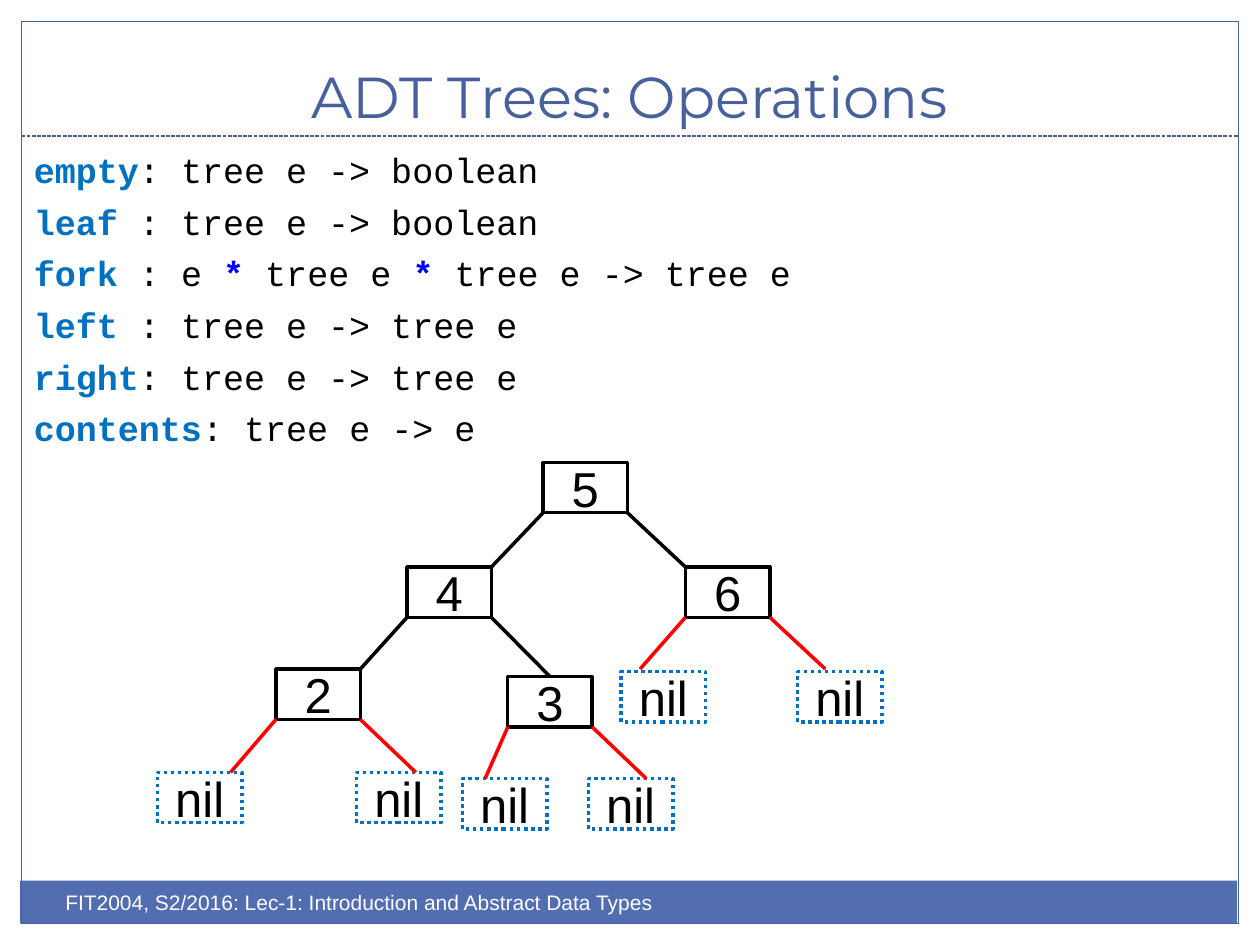
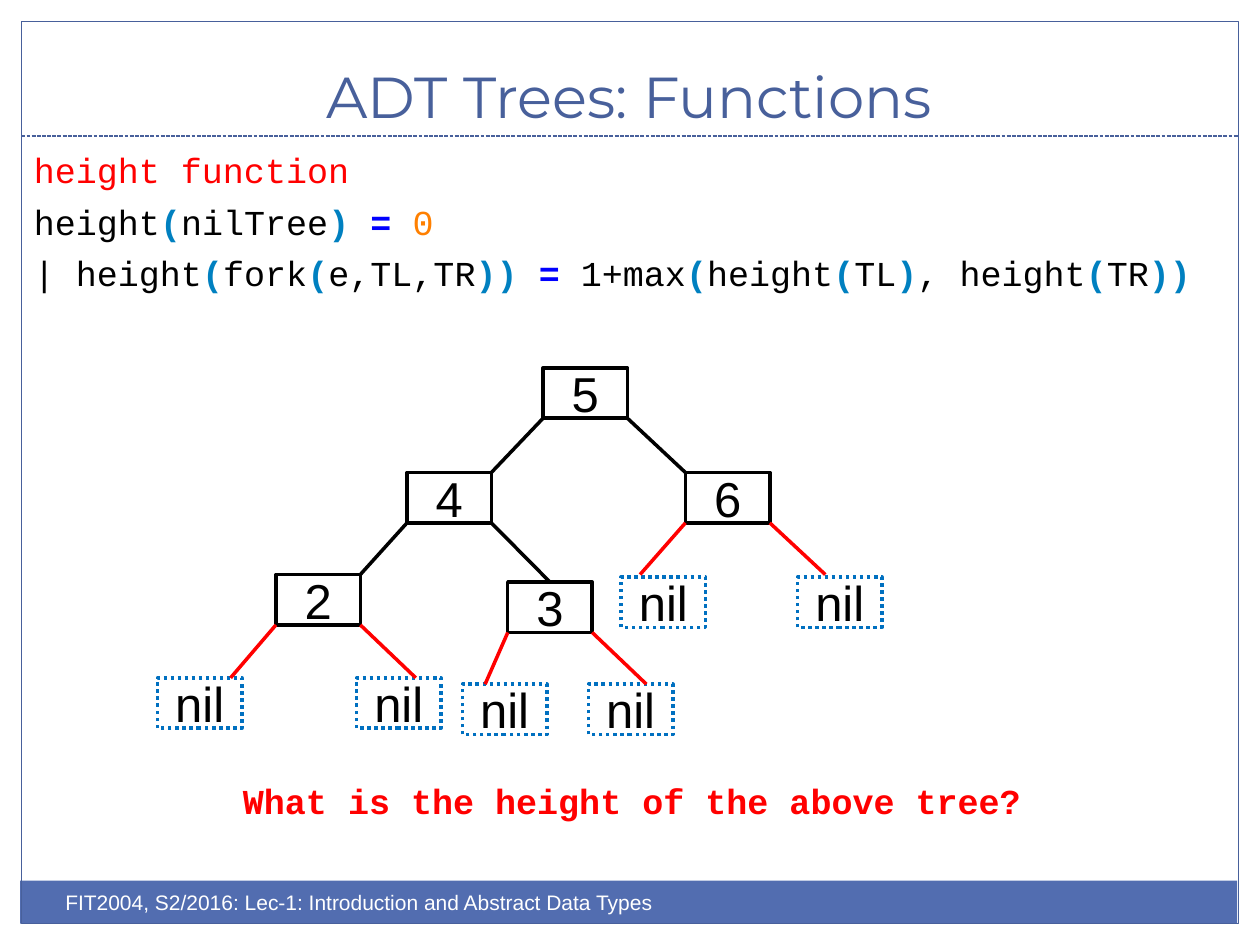
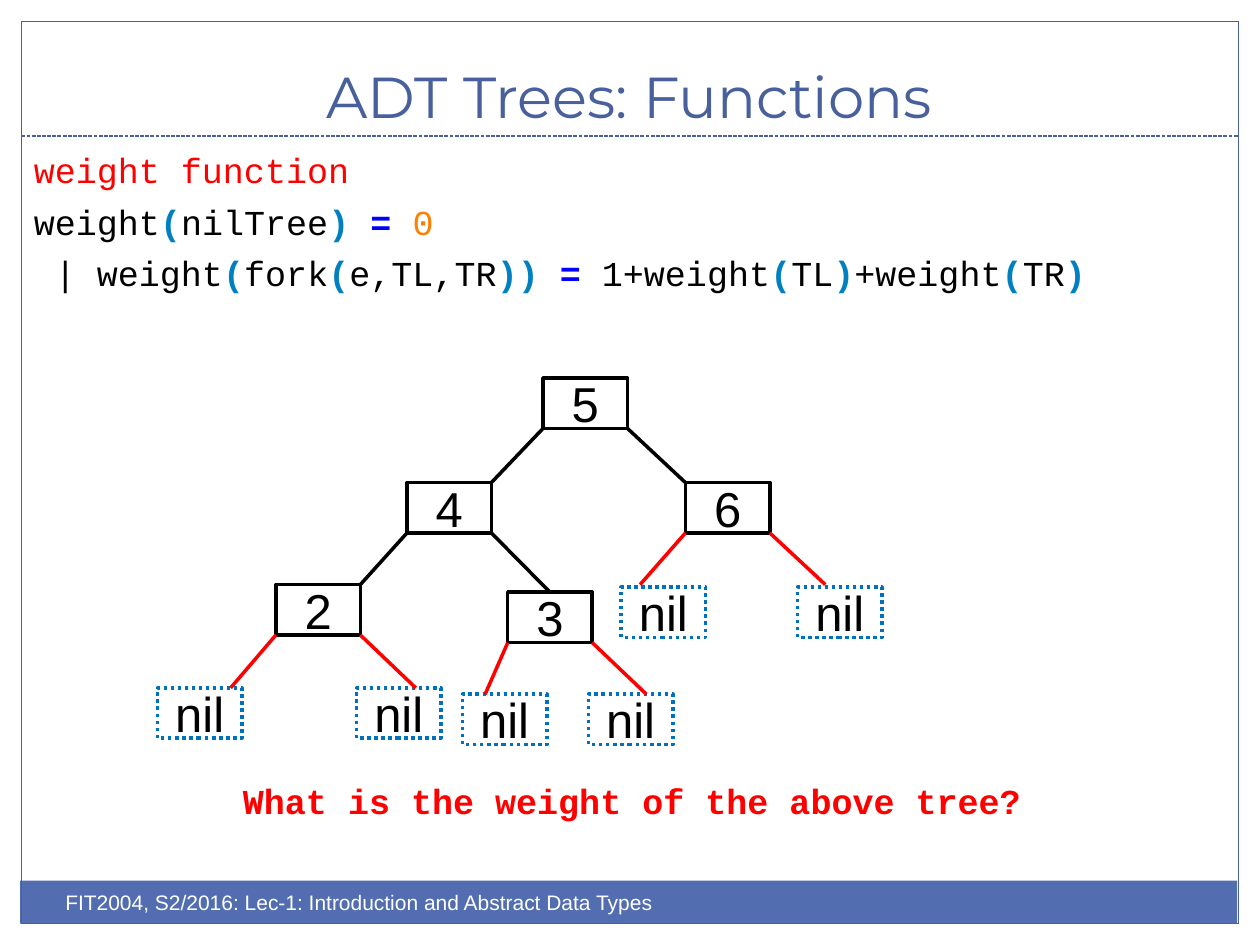
import itertools
from dataclasses import dataclass
from typing import Optional

import pptx
import pptx.dml.color
import pptx.enum.dml
import pptx.enum.shapes
import pptx.enum.text
import pptx.oxml.ns
import pptx.util
from lxml import etree

Inches = pptx.util.Inches
Pt = pptx.util.Pt
DASH = pptx.enum.dml.MSO_LINE
ANCHOR = pptx.enum.text.MSO_ANCHOR
ALIGN = pptx.enum.text.PP_ALIGN

COLORS = {
    "frame": "48609B",
    "band": "526DB0",
    "white": "FFFFFF",
    "black": "000000",
    "red": "FF0000",
    "keyword": "0070C0",
    "paren": "0080C0",
    "operator": "0000FF",
    "number": "FF8000",
}
CODE_COLORS = {"(": "paren", ")": "paren", "=": "operator", "*": "operator", "0": "number"}
BOLD_COLORS = {"keyword", "paren", "operator"}

FOOTER = "FIT2004, S2/2016: Lec-1: Introduction and Abstract Data Types"
NODE_W, NODE_H = 0.67, 0.4
TOP_MIDDLE = NODE_W / 2


@dataclass
class Run:
    text: str
    color: str = "black"
    bold: bool = False


@dataclass
class Node:
    """A tree box: top is measured from the root, join is where its edge arrives along the top."""
    label: str
    left: float
    top: float
    join: float = 0
    gap: float = 0
    kids: "tuple[Node, ...]" = ()


@dataclass
class TreeSlide:
    title: str
    lines: list[list[Run]]
    root_top: float
    question: Optional[str] = None


def nil(left: float, top: float, join: float, gap: float = 0) -> Node:
    return Node("nil", left, top, join, gap)


TREE = Node("5", 4.31, 0, kids=(
    Node("4", 3.23, 0.83, NODE_W, kids=(
        Node("2", 2.19, 1.64, NODE_W, kids=(nil(1.25, 2.46, 0.58), nil(2.83, 2.46, 0.47))),
        Node("3", 4.03, 1.7, TOP_MIDDLE, kids=(nil(3.67, 2.51, 0.18), nil(4.67, 2.51, 0.46))),
    )),
    Node("6", 5.44, 0.83, kids=(nil(4.93, 1.66, 0.15, 0.02), nil(6.33, 1.66, 0.22, 0.02))),
))


def code(text: str) -> list[Run]:
    """Split a line of code into runs coloured by its symbols."""
    groups = itertools.groupby(text, lambda c: CODE_COLORS.get(c, "black"))
    return [Run("".join(chars), color, color in BOLD_COLORS) for color, chars in groups]


def operation(name: str, signature: str) -> list[Run]:
    return [Run(name, "keyword", True)] + code(signature)


def function_slide(name: str, fork_line: str, root_top: float) -> TreeSlide:
    lines = [[Run(f"{name} function", "red")], code(f"{name}(nilTree) = 0"), code(fork_line)]
    return TreeSlide("ADT Trees: Functions", lines, root_top,
                     f"What is the {name} of the above tree?")


SLIDES = [
    TreeSlide("ADT Trees: Operations", [
        operation("empty", ": tree e -> boolean"),
        operation("leaf", " : tree e -> boolean"),
        operation("fork", " : e * tree e * tree e -> tree e"),
        operation("left", " : tree e -> tree e"),
        operation("right", ": tree e -> tree e"),
        operation("contents", ": tree e -> e"),
    ], 3.67),
    function_slide("height", "| height(fork(e,TL,TR)) = 1+max(height(TL), height(TR))", 2.92),
    function_slide("weight", " | weight(fork(e,TL,TR)) = 1+weight(TL)+weight(TR)", 3),
]


def rgb(name: str) -> pptx.dml.color.RGBColor:
    return pptx.dml.color.RGBColor.from_string(COLORS[name])


def set_line(line, color: str, width: float, dash=None) -> None:
    line.color.rgb = rgb(color)
    line.width = Pt(width)
    if dash is not None:
        line.dash_style = dash


def write(tf, lines: list[list[Run]], font: str, size: float, align=ALIGN.LEFT,
          space: float = 0) -> None:
    for i, runs in enumerate(lines):
        p = tf.add_paragraph() if i else tf.paragraphs[0]
        p.alignment = align
        if i:
            p.space_before = Pt(space)
        for run in runs:
            r = p.add_run()
            r.text = run.text
            r.font.name, r.font.size = font, Pt(size)
            r.font.bold = run.bold
            r.font.color.rgb = rgb(run.color)


def add_text(s, box: tuple[float, ...], lines: list[list[Run]], font: str, size: float,
             align=ALIGN.LEFT, anchor=ANCHOR.TOP, inset: float = 0.05,
             space: float = 0, wrap: bool = True) -> None:
    tf = s.shapes.add_textbox(*map(Inches, box)).text_frame
    tf.word_wrap = wrap
    tf.vertical_anchor = anchor
    tf.margin_top = Inches(inset)
    write(tf, lines, font, size, align, space)


def add_rect(s, box: tuple[float, ...], fill: Optional[str] = None):
    sp = s.shapes.add_shape(pptx.enum.shapes.MSO_SHAPE.RECTANGLE, *map(Inches, box))
    sp.shadow.inherit = False
    if fill:
        sp.fill.solid()
        sp.fill.fore_color.rgb = rgb(fill)
        sp.line.fill.background()
    else:
        sp.fill.background()
    return sp


def add_line(s, ends: tuple[float, ...], color: str, width: float, dash=None):
    cxn = s.shapes.add_connector(pptx.enum.shapes.MSO_CONNECTOR.STRAIGHT, *map(Inches, ends))
    set_line(cxn.line, color, width, dash)
    etree.SubElement(cxn._element.spPr, pptx.oxml.ns.qn("a:effectLst"))
    return cxn


def add_frame(s, title: str) -> None:
    """Draw the band, border, title and footer shared by all slides."""
    add_rect(s, (0.16, 6.99, 9.66, 0.34), "band")
    border = add_rect(s, (0.17, 0.17, 9.66, 7.16))
    set_line(border.line, "frame", 0.75)
    add_line(s, (0.17, 1.08, 9.83, 1.08), "frame", 0.75, DASH.SQUARE_DOT)
    add_text(s, (0.33, 0.25, 9.33, 0.83), [[Run(title, "frame")]], "Montserrat", 33,
             ALIGN.CENTER, ANCHOR.BOTTOM)
    add_text(s, (0.42, 7.01, 5, 0.4), [[Run(FOOTER, "white")]], "Arial", 12)


def add_tree(s, node: Node, root_top: float):
    """Draw a node and, below it, its subtrees; return the node's box."""
    top = root_top + node.top
    is_nil = node.label == "nil"
    sp = add_rect(s, (node.left, top, NODE_W, NODE_H))
    set_line(sp.line, "keyword" if is_nil else "black", 2, DASH.ROUND_DOT if is_nil else None)
    tf = sp.text_frame
    tf.margin_left = tf.margin_right = tf.margin_top = tf.margin_bottom = 0
    tf.vertical_anchor = ANCHOR.MIDDLE
    write(tf, [[Run(node.label)]], "Arial", 28, ALIGN.CENTER)

    for corner, kid in zip((node.left, node.left + NODE_W), node.kids):
        kid_sp = add_tree(s, kid, root_top)
        ends = (corner, top + NODE_H, kid.left + kid.join, root_top + kid.top - kid.gap)
        edge = add_line(s, ends, "red" if kid.label == "nil" else "black", 2)
        if kid.join == TOP_MIDDLE:
            edge.end_connect(kid_sp, 0)
    return sp


def main() -> None:
    prs = pptx.Presentation()
    prs.slide_width, prs.slide_height = Inches(10), Inches(7.5)
    for content in SLIDES:
        s = prs.slides.add_slide(prs.slide_layouts[6])
        add_frame(s, content.title)
        add_text(s, (0.17, 1.08, 9.84, 1.42), content.lines, "Courier New", 20,
                 inset=0.1, space=5.5)
        if content.question:
            add_text(s, (1.83, 6.09, 6.43, 0.44), [[Run(content.question, "red", True)]],
                     "Courier New", 20, inset=0.1, wrap=False)
        add_tree(s, TREE, content.root_top)
    prs.save("out.pptx")


if __name__ == "__main__":
    main()
